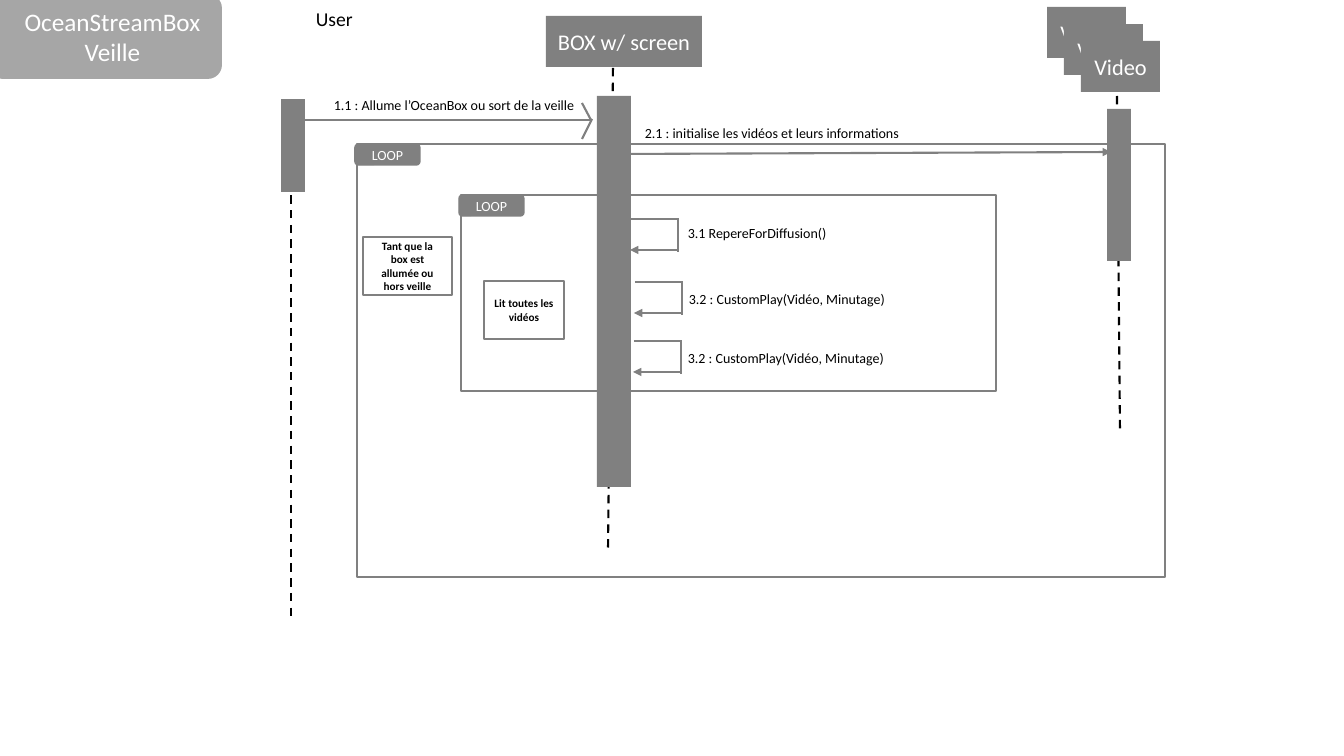
import pptx
import pptx.util
import pptx.dml.color
import pptx.enum.dml
import pptx.enum.shapes
import pptx.enum.text
import pptx.oxml
import pptx.oxml.ns
import lxml.etree

PX = 914400 / 100.8
COLORS = {"gray": "808080", "light": "A6A6A6", "white": "FFFFFF", "black": "000000"}
RECT = pptx.enum.shapes.MSO_SHAPE.RECTANGLE
ROUND = pptx.enum.shapes.MSO_SHAPE.ROUNDED_RECTANGLE
CENTER = pptx.enum.text.PP_ALIGN.CENTER
LEFT = pptx.enum.text.PP_ALIGN.LEFT

deck = pptx.Presentation()
deck.slide_width = round(1344 * PX)
deck.slide_height = round(756 * PX)
page = deck.slides.add_slide(deck.slide_layouts[6])


def add_box(place, text="", size=10, color="white", fill=None, outline=None,
            kind=RECT, align=CENTER, bold=False):
    area = [round(value * PX) for value in place]
    if fill or outline:
        box = page.shapes.add_shape(kind, *area)
        box.shadow.inherit = False
        if fill:
            box.fill.solid()
            box.fill.fore_color.rgb = pptx.dml.color.RGBColor.from_string(COLORS[fill])
        else:
            box.fill.background()
        if outline:
            box.line.color.rgb = pptx.dml.color.RGBColor.from_string(COLORS[outline])
            box.line.width = pptx.util.Pt(1)
        else:
            box.line.fill.background()
        box.text_frame.vertical_anchor = pptx.enum.text.MSO_ANCHOR.MIDDLE
    else:
        box = page.shapes.add_textbox(*area)
    if text:
        frame = box.text_frame
        frame.word_wrap = True
        frame.text = text
        for para in frame.paragraphs:
            para.alignment = align
            para.font.name = "Calibri"
            para.font.size = pptx.util.Pt(size)
            para.font.bold = bold
            para.font.color.rgb = pptx.dml.color.RGBColor.from_string(COLORS[color])


def add_line(ends, color="gray", dashed=False, arrow=False):
    line = page.shapes.add_connector(
        pptx.enum.shapes.MSO_CONNECTOR.STRAIGHT, *[round(value * PX) for value in ends])
    line.line.color.rgb = pptx.dml.color.RGBColor.from_string(COLORS[color])
    line.line.width = pptx.util.Pt(1.5)
    if dashed:
        line.line.dash_style = pptx.enum.dml.MSO_LINE.DASH
    if arrow:
        tail = lxml.etree.SubElement(line.line._get_or_add_ln(), pptx.oxml.ns.qn("a:tailEnd"))
        tail.set("type", "triangle")
    lxml.etree.SubElement(line._element.spPr, pptx.oxml.ns.qn("a:effectLst"))


add_box((-11, -6, 233, 85), fill="light", kind=ROUND)
add_box((-12, 1, 249, 72), "OceanStreamBox\nVeille", 18)

add_box((306, 2, 57, 34), "User", 14, "black", align=LEFT)
add_box((546, 16, 156, 51), "BOX w/ screen", 16, fill="gray")
for step in range(3):
    add_box((1047 + 17 * step, 7 + 17 * step, 79, 51), "Video", 16, fill="gray")

for lifeline in [(613, 68, 608, 553), (291, 107, 291, 617), (1117, 96, 1120, 429)]:
    add_line(lifeline, "black", dashed=True)

for ends in [(591, 120, 582, 103), (592, 119, 582, 139), (591, 120, 297, 120)]:
    add_line(ends)
add_line((621, 154, 1111, 152), arrow=True)

for activation in [(597, 96, 34, 391), (281, 99, 24, 93), (1107, 109, 24, 152)]:
    add_box(activation, fill="gray")

for left, top in [(631, 219), (635, 282), (634, 341)]:
    add_line((left, top, left + 48, top))
    add_line((left + 47, top, left + 47, top + 33))
    add_line((left + 47, top + 31, left - 1, top + 31), arrow=True)

messages = [
    (324, 92, 264, "1.1 : Allume l’OceanBox ou sort de la veille"),
    (635, 120, 305, "2.1 : initialise les vidéos et leurs informations"),
    (678, 220, 275, "3.1 RepereForDiffusion()"),
    (679, 286, 275, "3.2 : CustomPlay(Vidéo, Minutage)"),
    (678, 345, 275, "3.2 : CustomPlay(Vidéo, Minutage)"),
]
for left, top, width, text in messages:
    add_box((left, top, width, 27), text, 10, "black", align=LEFT)

loops = [
    ((461, 195, 535, 196), (484, 281, 80, 58), "Lit toutes les vidéos"),
    ((357, 144, 808, 433), (363, 237, 89, 58), "Tant que la box est allumée ou hors veille"),
]
for frame_place, note_place, condition in loops:
    add_box(frame_place, outline="gray")
    add_box((frame_place[0] - 2, frame_place[1], 65, 21), "LOOP", 10,
            fill="gray", outline="gray", kind=ROUND)
    add_box(note_place, condition, 8, "black", fill="white", outline="gray", bold=True)

deck.save("out.pptx")
